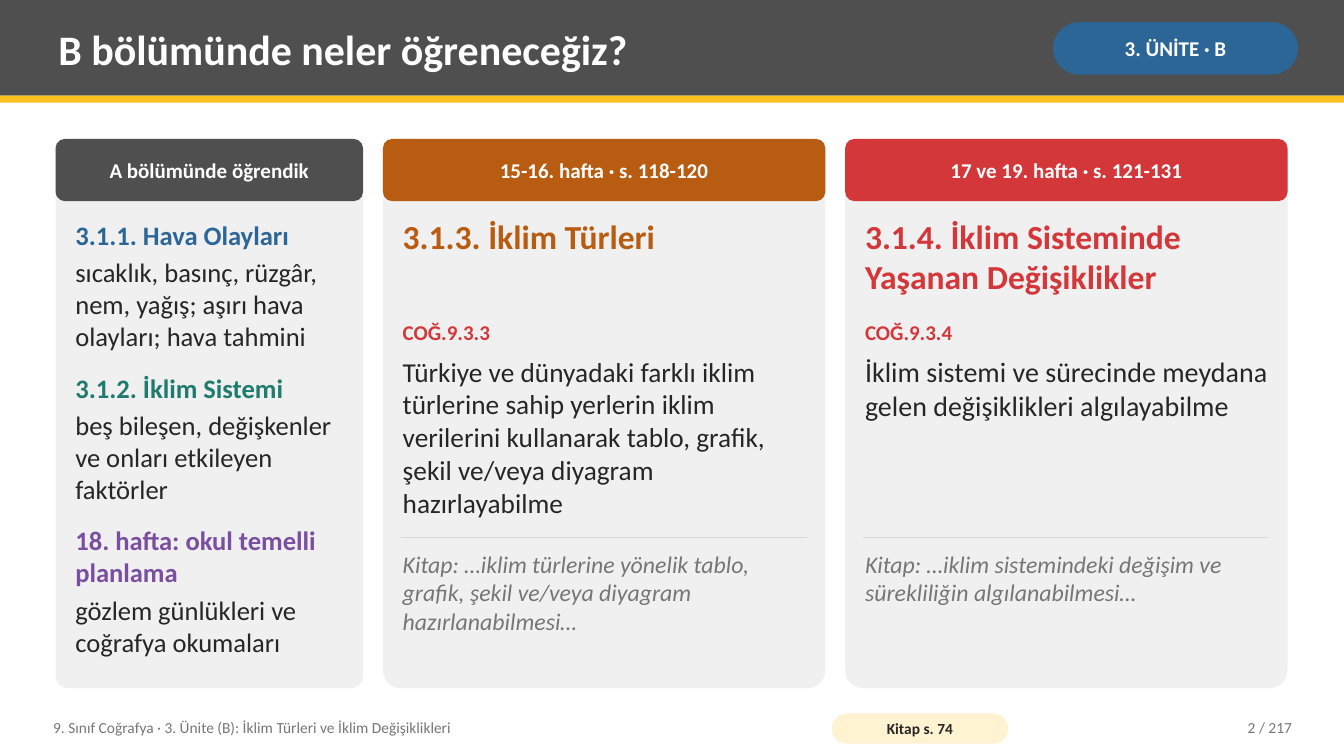
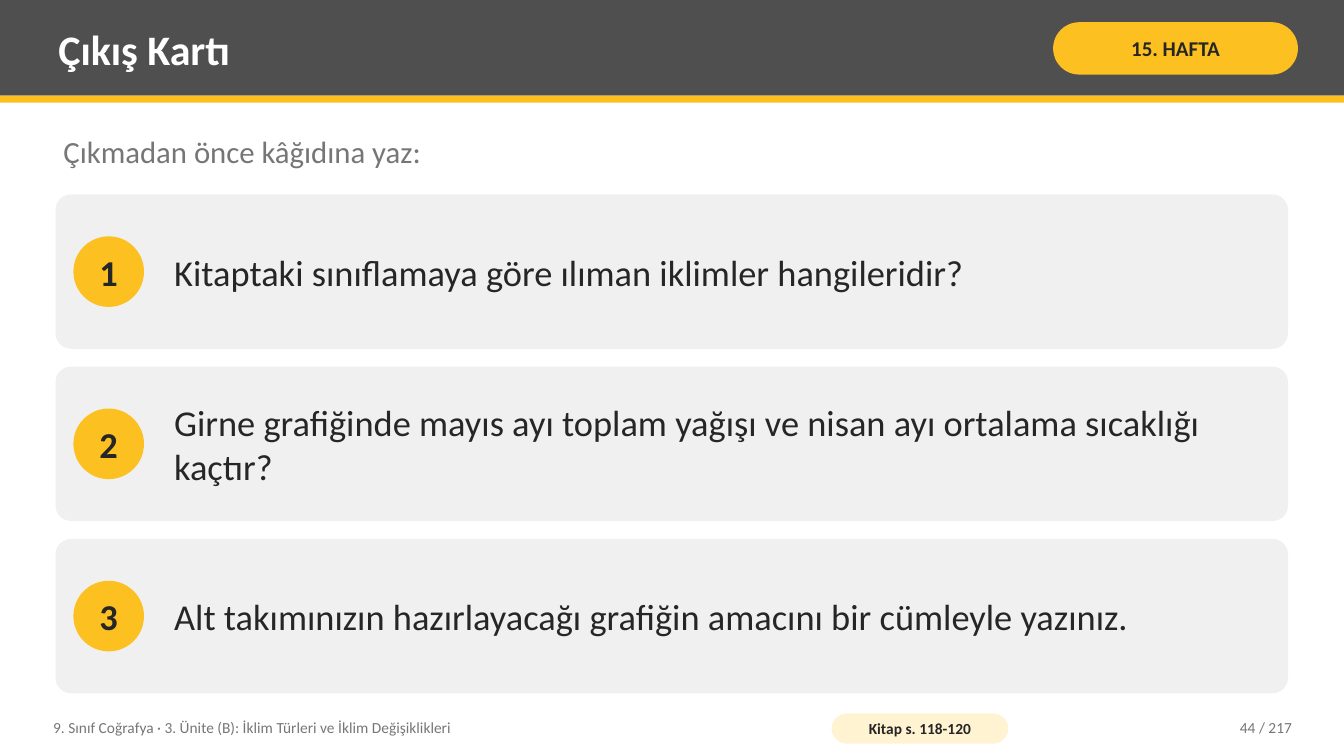
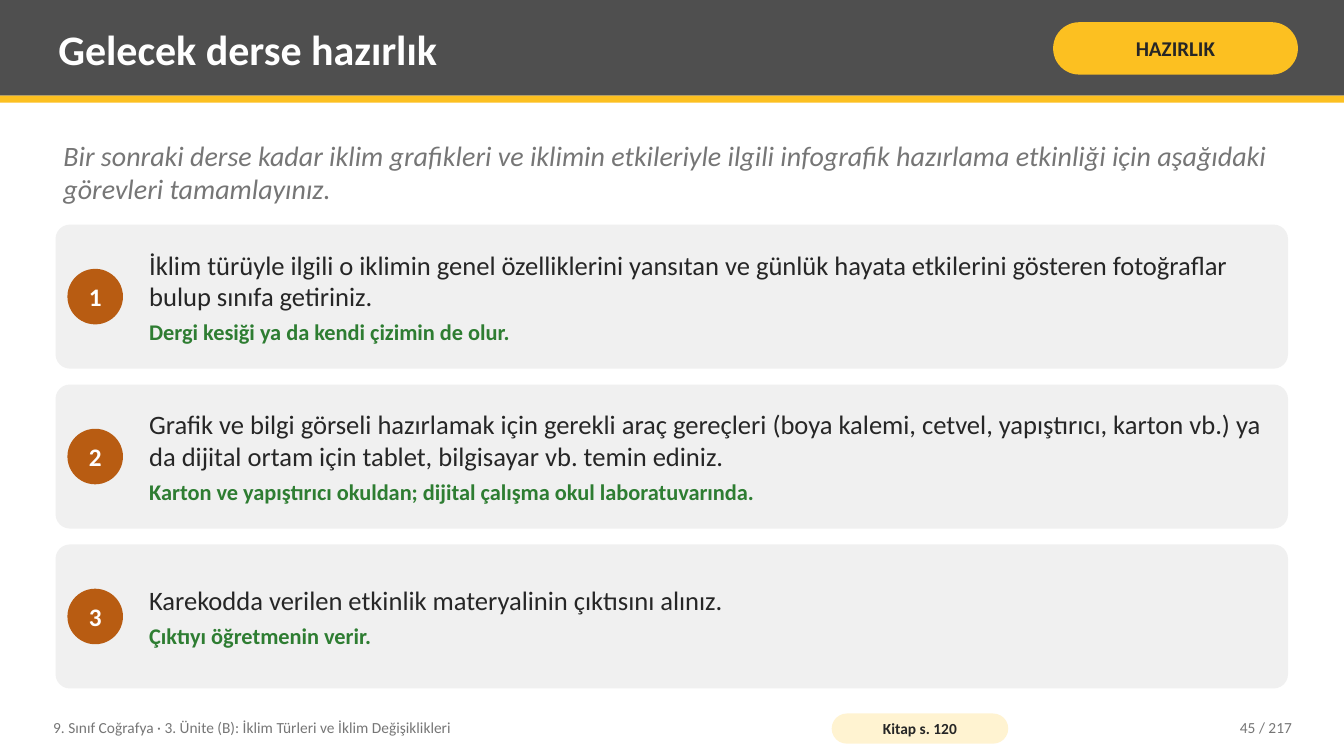
from lxml.etree import SubElement
from pptx import Presentation
from pptx.dml.color import RGBColor
from pptx.enum.shapes import MSO_CONNECTOR, MSO_SHAPE
from pptx.enum.text import MSO_ANCHOR, PP_ALIGN
from pptx.oxml.ns import qn
from pptx.util import Cm, Pt

WHITE = RGBColor(0xFF, 0xFF, 0xFF)
INK = RGBColor(0x26, 0x26, 0x26)
DARK = RGBColor(0x4F, 0x4F, 0x4F)
GREY = RGBColor(0x76, 0x76, 0x76)
RULE = RGBColor(0xD9, 0xD9, 0xD9)
PANEL = RGBColor(0xF0, 0xF0, 0xF0)
YELLOW = RGBColor(0xFC, 0xC0, 0x21)
CREAM = RGBColor(0xFF, 0xF3, 0xD1)
BLUE = RGBColor(0x2C, 0x66, 0x96)
TEAL = RGBColor(0x1E, 0x7B, 0x6E)
PURPLE = RGBColor(0x7A, 0x4E, 0xA0)
ORANGE = RGBColor(0xB8, 0x5C, 0x12)
RED = RGBColor(0xD3, 0x37, 0x3A)
GREEN = RGBColor(0x2E, 0x7D, 0x32)

FONT = "Calibri"
BOLD, ITALIC = {"bold": True}, {"italic": True}
WIDTH, HEIGHT = 33.87, 19.05
LEFT, INNER = 1.4, 31.06
CARD_TOP, CARD_HEIGHT, CARD_GAP, CARD_PAD = 3.5, 13.84, 0.5, 0.3
FOOTER = "9. Sınıf Coğrafya · 3. Ünite (B): İklim Türleri ve İklim Değişiklikleri"
PAGES = 217


class Deck:
    """Holds the shared style and the current slide."""

    def __init__(self):
        self.prs = Presentation()
        self.prs.slide_width, self.prs.slide_height = Cm(WIDTH), Cm(HEIGHT)

    def fill_text(self, sp, paras, anchor=MSO_ANCHOR.TOP, align=PP_ALIGN.LEFT,
                  inset=(0.2, 0.1), wrap=True):
        tf = sp.text_frame
        dx, dy = (Cm(v) for v in inset)
        frame = dict(margin_left=dx, margin_right=dx, margin_top=dy,
                     margin_bottom=dy, vertical_anchor=anchor, word_wrap=wrap)
        for name, value in frame.items():
            setattr(tf, name, value)
        for i, (text, color, size, *extra) in enumerate(paras):
            p = tf.add_paragraph() if i else tf.paragraphs[0]
            p.alignment = align
            fmt = dict(name=FONT, size=Pt(size), bold=False, italic=False)
            for option in extra:
                fmt.update(option)
            p.space_after = Pt(fmt.pop("after", 0))
            r = p.add_run()
            r.text = text
            for name, value in fmt.items():
                setattr(r.font, name, value)
            r.font.color.rgb = color

    def text(self, x, y, w, h, *paras, **layout):
        sp = self.s.shapes.add_textbox(Cm(x), Cm(y), Cm(w), Cm(h))
        self.fill_text(sp, paras, **layout)

    def shape(self, kind, x, y, w, h, fill, *paras, radius=None, wrap=True):
        sp = self.s.shapes.add_shape(kind, Cm(x), Cm(y), Cm(w), Cm(h))
        sp.shadow.inherit = False
        sp.fill.solid()
        sp.fill.fore_color.rgb = fill
        sp.line.fill.background()
        if radius is not None:
            sp.adjustments[0] = radius
        if paras:
            self.fill_text(sp, paras, MSO_ANCHOR.MIDDLE, PP_ALIGN.CENTER, (0, 0), wrap)

    def box(self, *args, radius):
        self.shape(MSO_SHAPE.ROUNDED_RECTANGLE, *args, radius=radius)

    def rule(self, x, y, w):
        line = self.s.shapes.add_connector(
            MSO_CONNECTOR.STRAIGHT, Cm(x), Cm(y), Cm(x + w), Cm(y))
        line.line.color.rgb = RULE
        line.line.width = Pt(1)
        SubElement(line._element.spPr, qn("a:effectLst"))

    def page(self, title, tag, book, number, tag_fill=YELLOW, tag_color=INK):
        self.s = self.prs.slides.add_slide(self.prs.slide_layouts[6])
        self.shape(MSO_SHAPE.RECTANGLE, 0, 0, WIDTH, 2.41, DARK)
        self.shape(MSO_SHAPE.RECTANGLE, 0, 2.41, WIDTH, 0.18, YELLOW)
        self.text(1.27, 0.18, 24.77, 2.08, (title, WHITE, 30, BOLD),
                  anchor=MSO_ANCHOR.MIDDLE)
        self.box(26.54, 0.56, 6.17, 1.32, tag_fill, (tag, tag_color, 15, BOLD),
                 radius=0.5)
        self.text(1.14, 17.88, 19.3, 0.91, (FOOTER, GREY, 11),
                  anchor=MSO_ANCHOR.MIDDLE)
        self.box(20.96, 17.98, 4.45, 0.76, CREAM, (book, INK, 11, BOLD), radius=0.5)
        self.text(28.7, 17.88, 4.06, 0.91, (f"{number} / {PAGES}", GREY, 11),
                  anchor=MSO_ANCHOR.MIDDLE, align=PP_ALIGN.RIGHT)

    def card(self, x, w, heading, fill):
        self.box(x, CARD_TOP, w, CARD_HEIGHT, PANEL, radius=0.04)
        self.box(x, CARD_TOP, w, 1.57, fill, (heading, WHITE, 15, BOLD), radius=0.15)

    def topic_card(self, x, w, heading, fill, title, code, goal, goal_size, quote):
        self.card(x, w, heading, fill)
        parts = [
            (5.33, 2.54, (title, fill, 24, BOLD)),
            (7.95, 0.97, (code, RED, 15, BOLD)),
            (8.84, 4.45, (goal, INK, goal_size)),
            (13.74, 3.4, (quote, GREY, 17, ITALIC)),
        ]
        for y, h, para in parts:
            self.text(x + CARD_PAD, y, w - 2 * CARD_PAD, h, para)
        self.rule(x + 0.46, 13.54, w - 0.92)

    def numbered_rows(self, rows, top, height, step, dot_x, dot, dot_fill,
                      dot_color, dot_size, text_x, text_w):
        for i, paras in enumerate(rows):
            y = top + i * step
            self.box(LEFT, y, INNER, height, PANEL, radius=0.1)
            self.shape(MSO_SHAPE.OVAL, dot_x, y + (height - dot) / 2, dot, dot,
                       dot_fill, (str(i + 1), dot_color, dot_size, BOLD), wrap=False)
            self.text(text_x, y, text_w, height, *paras, anchor=MSO_ANCHOR.MIDDLE)


def overview(deck):
    deck.page("B bölümünde neler öğreneceğiz?", "3. ÜNİTE · B", "Kitap s. 74", 2,
              BLUE, WHITE)
    recap_w, topic_w = 7.75, 11.15
    deck.card(LEFT, recap_w, "A bölümünde öğrendik", DARK)
    recap = [
        ("3.1.1. Hava Olayları", BLUE,
         "sıcaklık, basınç, rüzgâr, nem, yağış; aşırı hava olayları; hava tahmini"),
        ("3.1.2. İklim Sistemi", TEAL,
         "beş bileşen, değişkenler ve onları etkileyen faktörler"),
        ("18. hafta: okul temelli planlama", PURPLE,
         "gözlem günlükleri ve coğrafya okumaları"),
    ]
    paras = []
    for title, color, body in recap:
        paras += [(title, color, 19, BOLD, {"after": 4}),
                  (body, INK, 19, {"after": 14})]
    deck.text(LEFT + CARD_PAD, 5.41, recap_w - 2 * CARD_PAD, 11.56, *paras)
    topics = [
        ("15-16. hafta · s. 118-120", ORANGE, "3.1.3. İklim Türleri", "COĞ.9.3.3",
         "Türkiye ve dünyadaki farklı iklim türlerine sahip yerlerin iklim verilerini "
         "kullanarak tablo, grafik, şekil ve/veya diyagram hazırlayabilme", 19.5,
         "Kitap: …iklim türlerine yönelik tablo, grafik, şekil ve/veya diyagram "
         "hazırlanabilmesi…"),
        ("17 ve 19. hafta · s. 121-131", RED,
         "3.1.4. İklim Sisteminde Yaşanan Değişiklikler", "COĞ.9.3.4",
         "İklim sistemi ve sürecinde meydana gelen değişiklikleri algılayabilme", 20,
         "Kitap: …iklim sistemindeki değişim ve sürekliliğin algılanabilmesi…"),
    ]
    x = LEFT + recap_w + CARD_GAP
    for topic in topics:
        deck.topic_card(x, topic_w, *topic)
        x += topic_w + CARD_GAP


def exit_card(deck):
    deck.page("Çıkış Kartı", "15. HAFTA", "Kitap s. 118-120", 44)
    deck.text(LEFT, 3.25, INNER, 1.4, ("Çıkmadan önce kâğıdına yaz:", GREY, 22))
    questions = [
        "Kitaptaki sınıflamaya göre ılıman iklimler hangileridir?",
        "Girne grafiğinde mayıs ayı toplam yağışı ve nisan ayı ortalama sıcaklığı kaçtır?",
        "Alt takımınızın hazırlayacağı grafiğin amacını bir cümleyle yazınız.",
    ]
    deck.numbered_rows([[(q, INK, 26)] for q in questions],
                       top=4.9, height=3.89, step=4.34, dot_x=1.85, dot=1.78,
                       dot_fill=YELLOW, dot_color=INK, dot_size=26,
                       text_x=4.19, text_w=27.76)


def preparation(deck):
    deck.page("Gelecek derse hazırlık", "HAZIRLIK", "Kitap s. 120", 45)
    deck.text(LEFT, 3.38, INNER, 2.16, (
        "Bir sonraki derse kadar iklim grafikleri ve iklimin etkileriyle ilgili infografik "
        "hazırlama etkinliği için aşağıdaki görevleri tamamlayınız.", GREY, 20, ITALIC))
    tasks = [
        ("İklim türüyle ilgili o iklimin genel özelliklerini yansıtan ve günlük hayata "
         "etkilerini gösteren fotoğraflar bulup sınıfa getiriniz.",
         "Dergi kesiği ya da kendi çizimin de olur."),
        ("Grafik ve bilgi görseli hazırlamak için gerekli araç gereçleri (boya kalemi, "
         "cetvel, yapıştırıcı, karton vb.) ya da dijital ortam için tablet, bilgisayar vb. "
         "temin ediniz.",
         "Karton ve yapıştırıcı okuldan; dijital çalışma okul laboratuvarında."),
        ("Karekodda verilen etkinlik materyalinin çıktısını alınız.",
         "Çıktıyı öğretmenin verir."),
    ]
    rows = [[(task, INK, 19, {"after": 4}), (hint, GREEN, 16, BOLD)]
            for task, hint in tasks]
    deck.numbered_rows(rows, top=5.66, height=3.63, step=4.03, dot_x=1.7, dot=1.4,
                       dot_fill=ORANGE, dot_color=WHITE, dot_size=18,
                       text_x=3.56, text_w=28.52)


def main():
    deck = Deck()
    for build in (overview, exit_card, preparation):
        build(deck)
    deck.prs.save("out.pptx")


if __name__ == "__main__":
    main()
